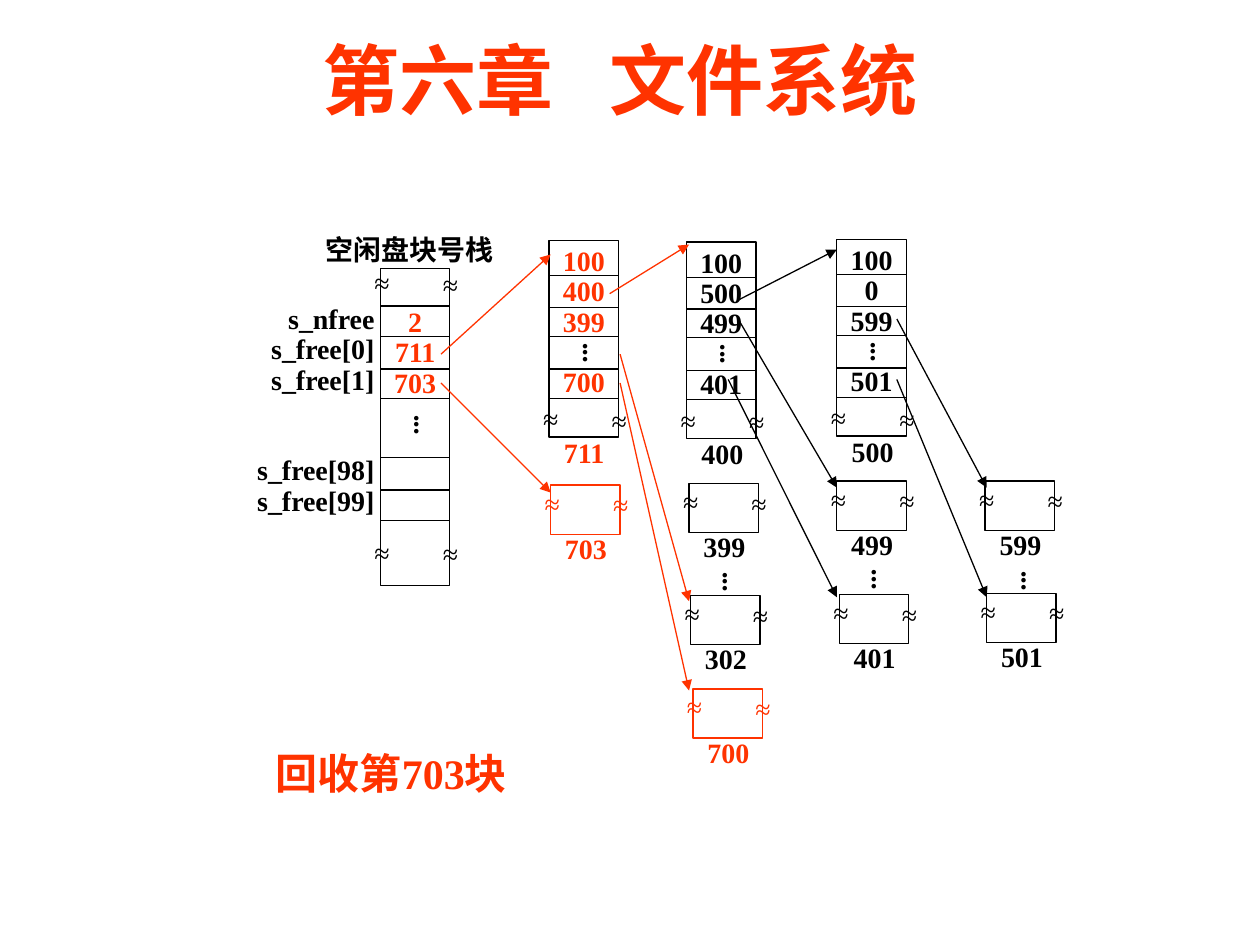
from lxml.etree import SubElement
from pptx import Presentation
from pptx.dml.color import RGBColor
from pptx.enum.shapes import MSO_CONNECTOR as Link, MSO_SHAPE as Shape
from pptx.enum.text import MSO_ANCHOR as Anchor, PP_ALIGN as Align
from pptx.oxml.ns import qn
from pptx.util import Cm, Pt

RED, BLACK = "FF3300", "000000"
SERIF, SANS = "Times New Roman", "Arial"
CELL_WIDTH, STACK_HEIGHT, BLOCK_HEIGHT = 1.4, 3.96, 0.99
LINE_PITCH = 17.28

STACKS = [
    (13.84, 4.88, ["100", "500", "499", None, "401"], "400", BLACK),
    (16.87, 4.83, ["100", "0", "599", None, "501"], "500", BLACK),
    (11.07, 4.85, ["100", "400", "399", None, "700"], "711", RED),
]
BLOCKS = [
    (13.89, 9.75, "399", BLACK),
    (16.87, 9.7, "499", BLACK),
    (19.86, 9.7, "599", BLACK),
    (13.92, 12.01, "302", BLACK),
    (16.92, 11.99, "401", BLACK),
    (19.89, 11.96, "501", BLACK),
    (13.97, 13.89, "700", RED),
    (11.1, 9.78, "703", RED),
]
BLOCK_GAPS = [(14.22, 11.4), (17.22, 11.35), (20.24, 11.38)]
ARROWS = [
    (14.88, 6.05, 16.87, 5.03, BLACK),
    (14.88, 6.43, 16.87, 9.83, BLACK),
    (14.68, 7.65, 16.87, 12.04, BLACK),
    (18.08, 6.43, 19.89, 9.83, BLACK),
    (18.08, 7.65, 19.89, 12.04, BLACK),
    (12.5, 7.14, 13.89, 12.12, RED),
    (12.5, 7.72, 13.89, 13.92, RED),
    (8.89, 7.14, 11.1, 5.13, RED),
    (12.29, 5.92, 13.89, 4.93, RED),
    (8.89, 7.72, 11.1, 9.93, RED),
]


def color(hex_value):
    return RGBColor.from_string(hex_value)


def apply(target, formats):
    for name, value in formats.items():
        setattr(target, name, value)


def write(box, lines, hex_value=BLACK, size=16, font=SERIF, bold=True,
          align=Align.LEFT, spacing=None, margins=(0.25, 0.13)):
    side, top = margins
    frame = box.text_frame
    apply(frame, {"word_wrap": True, "vertical_anchor": Anchor.TOP,
                  "margin_left": Cm(side), "margin_right": Cm(side),
                  "margin_top": Cm(top), "margin_bottom": Cm(0.13)})
    para, skipped = None, 0
    for line in lines:
        if line is None:
            skipped += 1
            continue
        para = frame.add_paragraph() if para else frame.paragraphs[0]
        apply(para, {"alignment": align, "line_spacing": spacing})
        if skipped:
            para.space_before = Pt(skipped * LINE_PITCH)
            skipped = 0
        for part in line if isinstance(line, list) else [line]:
            span = para.add_run()
            span.text = part
            apply(span.font, {"name": font, "size": Pt(size), "bold": bold})
            span.font.color.rgb = color(hex_value)
    return frame


def add_text(page, left, top, width, height, lines, **formats):
    box = page.shapes.add_textbox(Cm(left), Cm(top), Cm(width), Cm(height))
    return write(box, lines, **formats)


def add_frame(page, left, top, height, hex_value=BLACK):
    box = page.shapes.add_shape(Shape.RECTANGLE, Cm(left), Cm(top),
                                Cm(CELL_WIDTH), Cm(height))
    box.shadow.inherit = False
    box.fill.background()
    box.line.color.rgb = color(hex_value)
    box.line.width = Pt(0.75)
    return box


def add_line(page, x1, y1, x2, y2, hex_value=BLACK, arrow=False):
    link = page.shapes.add_connector(Link.STRAIGHT, Cm(x1), Cm(y1), Cm(x2), Cm(y2))
    link.line.color.rgb = color(hex_value)
    link.line.width = Pt(0.75)
    if arrow:
        SubElement(link.line._get_or_add_ln(), qn("a:tailEnd"), type="triangle")
    SubElement(link._element.spPr, qn("a:effectLst"))


def add_rules(page, left, top, offsets):
    for offset in offsets:
        add_line(page, left, top + offset, left + CELL_WIDTH, top + offset)


def add_break_marks(page, left, top, hex_value=BLACK):
    for dx, dy in [(1.01, 0), (-0.37, -0.03)]:
        add_text(page, left + dx, top + dy, 0.79, 0.94, ["≈"],
                 hex_value=hex_value, bold=False)


def add_dots(page, left, top):
    add_text(page, left, top, 0.79, 0.66, ["."] * 3, align=Align.CENTER, spacing=0.2)


def add_number(page, left, top, number, hex_value):
    add_text(page, left, top, CELL_WIDTH, 0.94, [number], hex_value=hex_value)


def add_free_list(page, left, top):
    add_text(page, left - 1.35, top - 0.86, 3.99, 0.94, ["空闲盘块号栈"], font=SANS)
    add_text(page, left - 2.97, top + 0.61, 3.1, 4.55,
             ["s_nfree", "s_free[0]", "s_free[1]", None, None, "s_free[98]", "s_free[99]"],
             align=Align.RIGHT, spacing=Pt(LINE_PITCH))
    box = add_frame(page, left, top, 6.4)
    write(box, ["2", "711", "703"], RED, align=Align.CENTER,
          spacing=Pt(LINE_PITCH), margins=(0, 0.8))
    add_rules(page, left, top, [0.76, 1.37, 2.03, 2.62, 3.81, 4.47, 5.08])
    for offset in (-0.15, 5.28):
        add_break_marks(page, left, top + offset)
    add_dots(page, left + 0.33, top + 2.82)


def add_stack(page, left, top, values, number, hex_value):
    box = add_frame(page, left, top, STACK_HEIGHT)
    write(box, values, hex_value, align=Align.CENTER,
          spacing=Pt(LINE_PITCH), margins=(0, 0.13))
    add_rules(page, left, top, [0.71, 1.35, 1.93, 2.59, 3.18])
    add_break_marks(page, left, top + 3.15)
    add_dots(page, left + 0.33, top + 1.93)
    add_number(page, left + 0.05, top + 3.8, number, hex_value)


def add_block(page, left, top, number, hex_value):
    add_frame(page, left, top, BLOCK_HEIGHT, hex_value)
    add_break_marks(page, left, top - 0.08, hex_value)
    add_number(page, left + 0.04, top + 0.8, number, hex_value)


def add_title(page, left, top, width, height):
    frame = add_text(page, left, top, width, height, [["第六章", " ", "文件系统"]],
                     hex_value=RED, size=44, align=Align.CENTER)
    frame.vertical_anchor = Anchor.MIDDLE
    gap = frame.paragraphs[0].runs[1]
    gap.font._element.set("spc", "2200")


def main():
    deck = Presentation()
    apply(deck, {"slide_width": Cm(25.4), "slide_height": Cm(19.05)})
    page = deck.slides.add_slide(deck.slide_layouts[6])
    add_title(page, 2.97, 0.64, 19.05, 1.9)
    add_free_list(page, 7.67, 5.41)
    for stack in STACKS:
        add_stack(page, *stack)
    for block in BLOCKS:
        add_block(page, *block)
    for gap in BLOCK_GAPS:
        add_dots(page, *gap)
    for arrow in ARROWS:
        add_line(page, *arrow, arrow=True)
    add_text(page, 5.31, 14.94, 5.8, 1.27, ["回收第703块"], hex_value=RED, size=24)
    deck.save("out.pptx")


if __name__ == "__main__":
    main()
